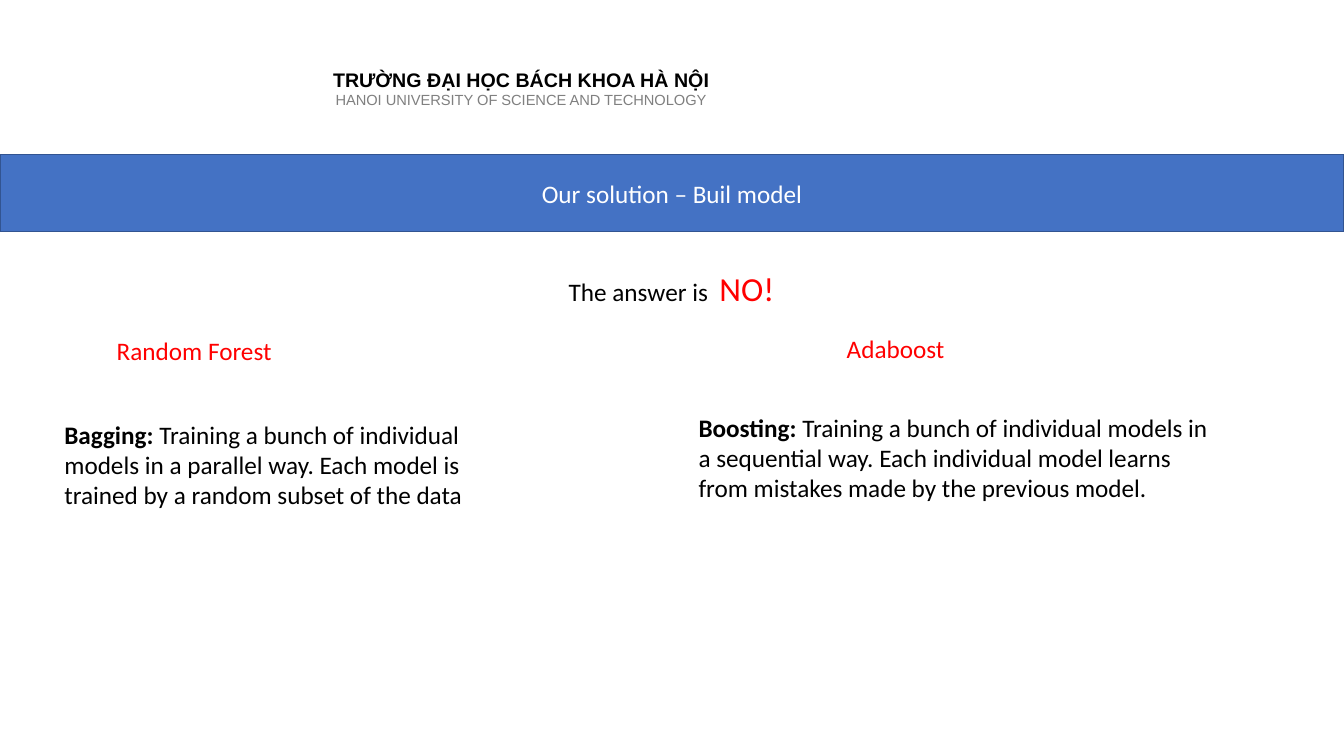
from pptx import Presentation
from pptx.dml.color import RGBColor
from pptx.enum.text import MSO_ANCHOR, PP_ALIGN
from pptx.oxml import parse_xml
from pptx.oxml.ns import nsdecls
from pptx.util import Inches, Pt

MIDDLE, TOP = MSO_ANCHOR.MIDDLE, MSO_ANCHOR.TOP
CENTER, LEFT = PP_ALIGN.CENTER, PP_ALIGN.LEFT
WIDTH, HEIGHT = 13.33, 7.5

BODY = {"name": "Calibri", "size": 18, "bold": False, "color": "000000"}
STRONG = BODY | {"bold": True}
RED = BODY | {"color": "FF0000"}
SHOUT = RED | {"size": 24}
BANNER = BODY | {"color": "FFFFFF"}
SCHOOL = {"name": "Arial", "size": 14, "bold": True, "color": "000000"}
SCHOOL_ENGLISH = SCHOOL | {"size": 10.5, "bold": False, "color": "808080"}

# Each paragraph is a list of (text, format) spans
TITLE = [[("Our solution – Buil model", BANNER)]]
TITLE_PLACE = (0, 1.53, WIDTH, 0.77)

# (left, top, width, height), alignment, anchor, paragraphs
TEXTS = [
    ((1.67, 0, 7, 1.75), CENTER, MIDDLE, [
        [("TRƯỜNG ĐẠI HỌC BÁCH KHOA HÀ NỘI", SCHOOL)],
        [("HANOI UNIVERSITY OF SCIENCE AND TECHNOLOGY", SCHOOL_ENGLISH)]]),
    ((1.29, 2.61, 10.74, 0.5), CENTER, TOP, [
        [("The answer is  ", BODY), ("NO!", SHOUT)]]),
    ((1.06, 3.28, 4.97, 0.4), LEFT, TOP, [[("Random Forest", RED)]]),
    ((8.3, 3.26, 4.97, 0.4), LEFT, TOP, [[("Adaboost", RED)]]),
    ((0.54, 4.11, 4.71, 1.01), LEFT, TOP, [
        [("Bagging:", STRONG),
         (" Training a bunch of individual models in a parallel way. "
          "Each model is trained by a random subset of the data", BODY)]]),
    ((6.83, 4.04, 5.33, 1.01), LEFT, TOP, [
        [("Boosting: ", STRONG),
         ("Training a bunch of individual models in a sequential way. "
          "Each individual model learns from mistakes made by the previous model.", BODY)]]),
]


def rgb(color):
    return RGBColor.from_string(color)


def write(box, paragraphs, alignment, anchor):
    frame = box.text_frame
    frame.word_wrap = True
    frame.vertical_anchor = anchor
    for index, spans in enumerate(paragraphs):
        para = frame.add_paragraph() if index else frame.paragraphs[0]
        para.alignment = alignment
        for text, style in spans:
            span = para.add_run()
            span.text = text
            values = style | {"size": Pt(style["size"])}
            span.font.color.rgb = rgb(values.pop("color"))
            for key, value in values.items():
                setattr(span.font, key, value)


def place_banner(title):
    """Turn the title placeholder into the rounded blue bar."""
    sides = zip(("left", "top", "width", "height"), TITLE_PLACE)
    for side, value in sides:
        setattr(title, side, Inches(value))
    title.element.spPr.append(parse_xml(
        f'<a:prstGeom {nsdecls("a")} prst="roundRect"><a:avLst/></a:prstGeom>'))
    title.fill.solid()
    title.fill.fore_color.rgb = rgb("4472C4")
    title.line.color.rgb = rgb("325491")
    title.line.width = Pt(1)
    write(title, TITLE, CENTER, MIDDLE)


def main():
    deck = Presentation()
    deck.slide_width, deck.slide_height = Inches(WIDTH), Inches(HEIGHT)
    title_only = deck.slide_layouts.get_by_name("Title Only")
    page = deck.slides.add_slide(title_only)
    place_banner(page.shapes.title)
    for place, alignment, anchor, paragraphs in TEXTS:
        box = page.shapes.add_textbox(*map(Inches, place))
        write(box, paragraphs, alignment, anchor)
    deck.save("out.pptx")


if __name__ == "__main__":
    main()
